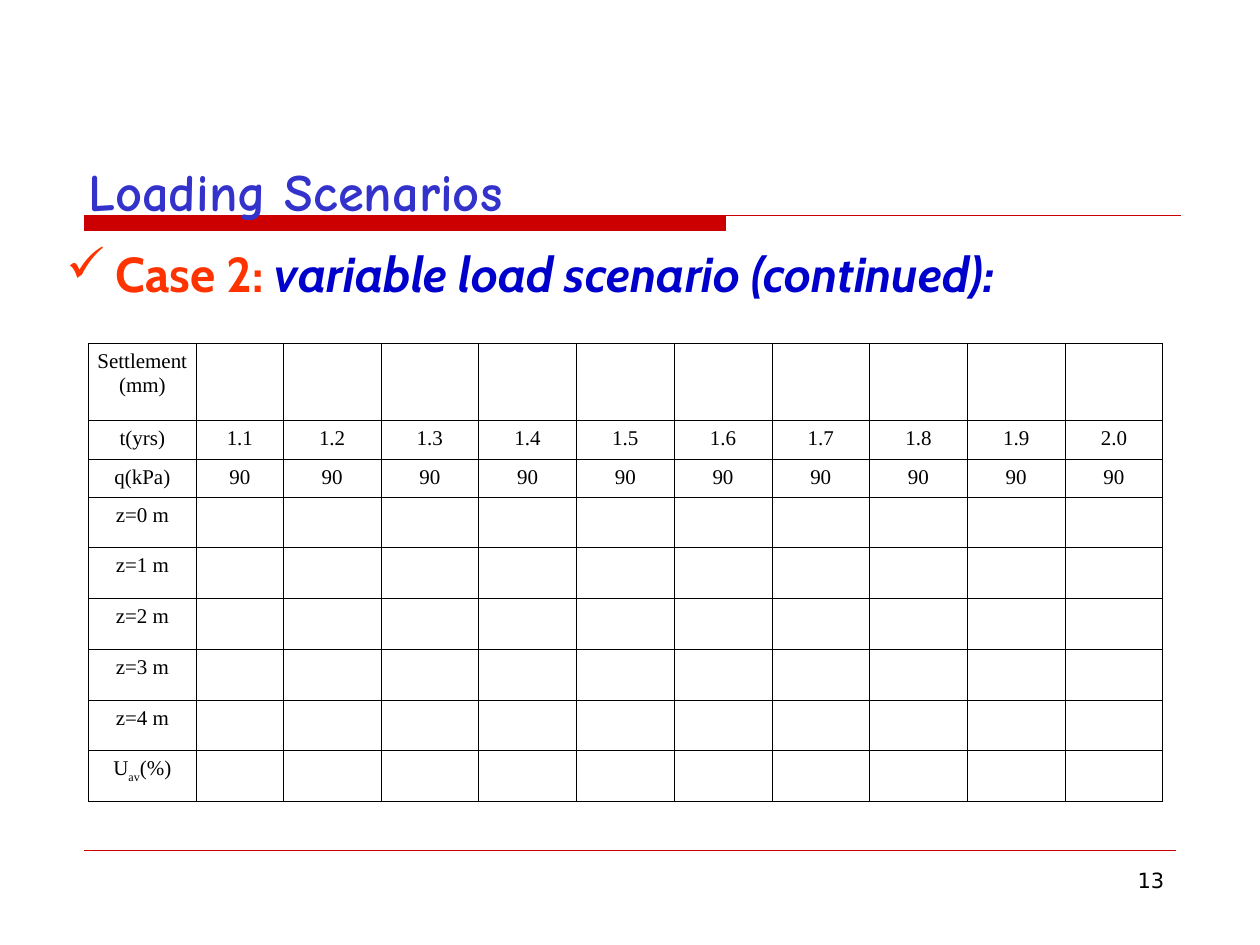
from lxml import etree
from pptx import Presentation
from pptx import util as u
from pptx.dml.color import RGBColor
from pptx.enum import shapes, text
from pptx.oxml.ns import qn

COLORS = {
    "red": "CC0000", "title": "3333CC", "case": "FF3300",
    "scenario": "0000CC", "black": "000000", "white": "FFFFFF",
}
TITLE = "Loading Scenarios"
CASE = [("Case 2: ", "case", False),
        ("variable load scenario (continued):", "scenario", True)]
PAGE_NUMBER = "13"

TIMES = [f"{1 + step / 10:.1f}" for step in range(1, 11)]
LOADS = ["90"] * len(TIMES)
# Each row: label lines, values, height in cm.
ROWS = [
    (["Settlement", "(mm)"], [], 1.55),
    (["t(yrs)"], TIMES, 0.77),
    (["q(kPa)"], LOADS, 0.77),
    *[([f"z={depth} m"], [], 0.77) for depth in range(5)],
    (["U_av_(%)"], [], 0.77),  # underscores enclose a subscript
]
COLUMN_WIDTHS = [2.18, 1.75] + [1.97] * (len(TIMES) - 1)


def color(name):
    return RGBColor.from_string(COLORS[name])


def add_run(paragraph, content, size, font, color_name, bold=None, italic=None):
    run = paragraph.add_run()
    run.text = content
    run.font.size = u.Pt(size)
    run.font.name = font
    run.font.bold = bold
    run.font.italic = italic
    run.font.color.rgb = color(color_name)
    return run


def add_text_box(slide, left, top, width, height, inset_x=0.25, inset_y=0.13):
    """Add a wrapping text box and return its first paragraph."""
    box = slide.shapes.add_textbox(u.Cm(left), u.Cm(top), u.Cm(width), u.Cm(height))
    frame = box.text_frame
    frame.word_wrap = True
    frame.margin_left = frame.margin_right = u.Cm(inset_x)
    frame.margin_top = frame.margin_bottom = u.Cm(inset_y)
    return frame.paragraphs[0]


def set_indent(paragraph, margin, hanging):
    properties = paragraph._p.get_or_add_pPr()
    properties.set("marL", str(u.Cm(margin)))
    properties.set("indent", str(-u.Cm(hanging)))
    return properties


def add_title_rule(slide):
    left, middle, right, top, bottom = map(u.Cm, (1.7, 14.63, 23.8, 4.34, 4.65))
    builder = slide.shapes.build_freeform(left, top)
    builder.add_line_segments([(middle, top), (middle, bottom), (left, bottom)])
    builder.move_to(left, top)
    builder.add_line_segments([(right, top)], close=False)
    rule = builder.convert_to_shape()
    rule.shadow.inherit = False
    rule.fill.solid()
    rule.fill.fore_color.rgb = color("red")
    rule.line.color.rgb = color("red")
    rule.line.width = u.Pt(0.75)


def add_footer_rule(slide):
    rule = slide.shapes.add_connector(
        shapes.MSO_CONNECTOR.STRAIGHT, u.Cm(1.7), u.Cm(17.15), u.Cm(23.7), u.Cm(17.15))
    rule.line.color.rgb = color("red")
    rule.line.width = u.Pt(0.25)
    etree.SubElement(rule._element.spPr, qn("a:effectLst"))


def style_cell(cell):
    cell.margin_left = cell.margin_right = u.Cm(0.13)
    cell.margin_top = cell.margin_bottom = u.Cm(0.13)
    properties = cell._tc.get_or_add_tcPr()
    for side in ("lnL", "lnR", "lnT", "lnB"):
        border = etree.SubElement(properties, qn(f"a:{side}"), w=str(u.Pt(0.45)))
        fill = etree.SubElement(border, qn("a:solidFill"))
        etree.SubElement(fill, qn("a:srgbClr"), val=COLORS["black"])
    cell.fill.solid()
    cell.fill.fore_color.rgb = color("white")


def fill_cell(cell, lines):
    for index, line in enumerate(lines):
        frame = cell.text_frame
        paragraph = frame.add_paragraph() if index else frame.paragraphs[0]
        paragraph.alignment = text.PP_ALIGN.CENTER
        for part, content in enumerate(line.split("_")):
            run = add_run(paragraph, content, 12, "Times New Roman", "black")
            if part % 2:
                run.font._element.set("baseline", "-25000")


def add_settlement_table(slide):
    width = sum(COLUMN_WIDTHS)
    height = sum(row_height for _, _, row_height in ROWS)
    table = slide.shapes.add_table(
        len(ROWS), len(COLUMN_WIDTHS),
        u.Cm(1.78), u.Cm(6.93), u.Cm(width), u.Cm(height)).table
    table.first_row = table.horz_banding = False
    for column, column_width in zip(table.columns, COLUMN_WIDTHS):
        column.width = u.Cm(column_width)
    for row, (label, values, row_height) in zip(table.rows, ROWS):
        row.height = u.Cm(row_height)
        for cell in row.cells:
            style_cell(cell)
        for cell, lines in zip(row.cells, [label] + [[value] for value in values]):
            fill_cell(cell, lines)


def main():
    presentation = Presentation()
    presentation.slide_width, presentation.slide_height = u.Cm(25.4), u.Cm(19.05)
    slide = presentation.slides.add_slide(presentation.slide_layouts[6])

    add_title_rule(slide)
    add_footer_rule(slide)

    number = add_text_box(slide, 18.21, 17.35, 5.51, 1.32)
    number.alignment = text.PP_ALIGN.RIGHT
    add_run(number, PAGE_NUMBER, 12, "DejaVu Sans", "black")

    title = add_text_box(slide, 1.6, 2.84, 18.64, 1.7, 0.18, 0.08)
    set_indent(title, 0.97, 0.97)
    title.line_spacing = 1.23
    title.space_before = u.Pt(9.4)
    add_run(title, TITLE, 30, "Comic Neue", "title", bold=True)

    case = add_text_box(slide, 0.84, 4.78, 24.21, 1.45)
    properties = set_indent(case, 1.24, 0.99)
    bullet_color = etree.SubElement(properties, qn("a:buClr"))
    etree.SubElement(bullet_color, qn("a:srgbClr"), val=COLORS["case"])
    etree.SubElement(properties, qn("a:buChar"), char="✓")
    for content, color_name, italic in CASE:
        add_run(case, content, 28, "Cabin", color_name, bold=True, italic=italic)

    add_settlement_table(slide)
    presentation.save("out.pptx")


if __name__ == "__main__":
    main()
